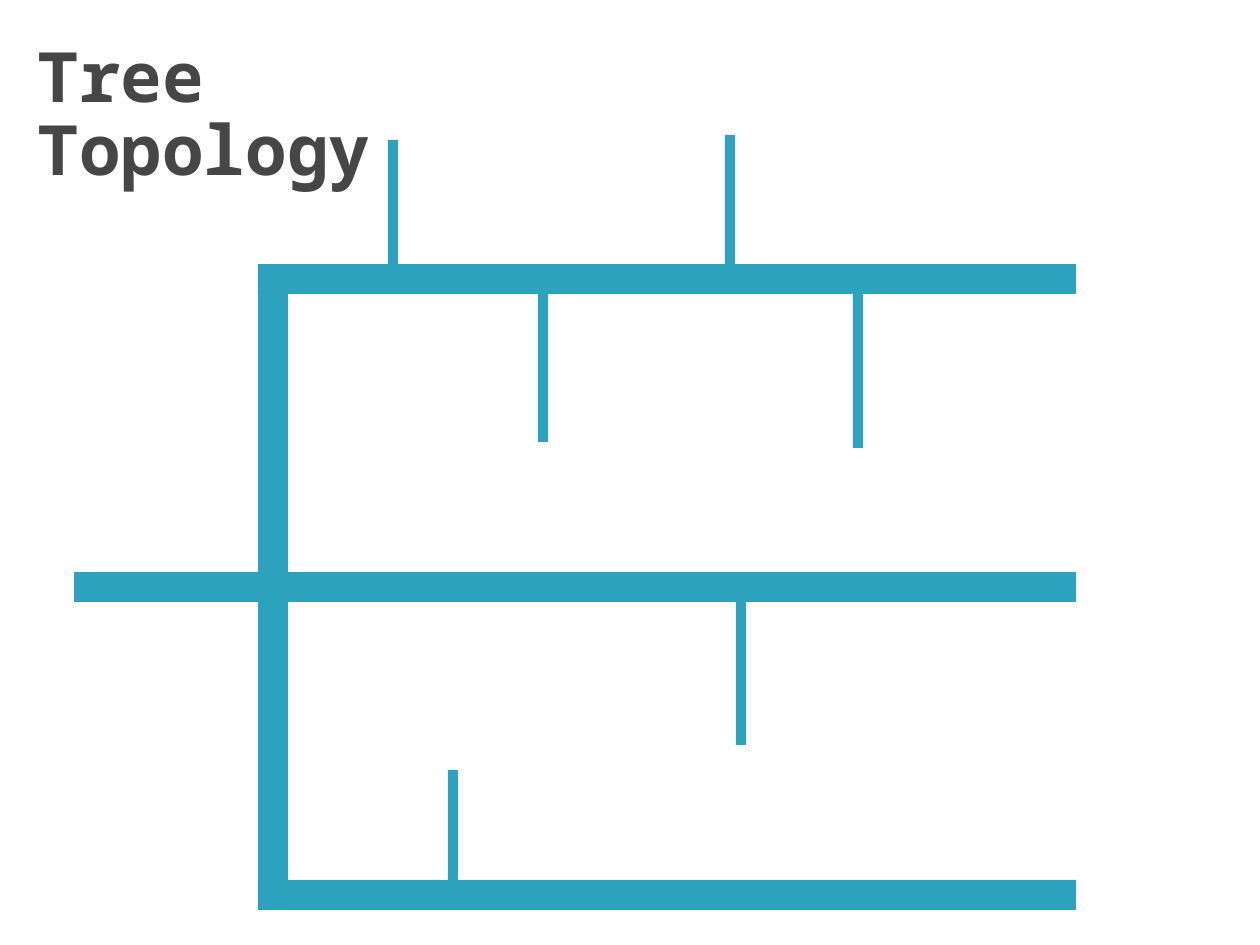
from pptx import Presentation
from pptx import util as u
from pptx.dml.color import RGBColor
from pptx.enum import shapes, text

PX = u.Inches(1) // 126
COLORS = {"bar": "2DA2BF", "title": "464646"}
BUS = 30
DROP = 10

presentation = Presentation()
presentation.slide_width = u.Inches(10)
presentation.slide_height = u.Inches(7.5)
slide = presentation.slides.add_slide(presentation.slide_layouts[5])


def add_bar(left, top, width, height):
    shape = slide.shapes.add_shape(
        shapes.MSO_SHAPE.RECTANGLE, *(value * PX for value in (left, top, width, height))
    )
    shape.shadow.inherit = False
    shape.fill.solid()
    shape.fill.fore_color.rgb = RGBColor.from_string(COLORS["bar"])
    shape.line.fill.background()


for left, top, width in [
    (74, 572, 422), (377, 572, 307), (674, 572, 402), (258, 264, 818), (258, 880, 818),
]:
    add_bar(left, top, width, BUS)

for top, height in [(264, 308), (583, 306)]:
    add_bar(258, top, BUS, height)

for left, top, height in [
    (538, 278, 164), (736, 581, 164), (853, 284, 164),
    (725, 135, 134), (448, 770, 140), (388, 140, 134),
]:
    add_bar(left, top, DROP, height)

title = slide.shapes.title
for name, value in {"left": 25, "top": 38, "width": 1134, "height": 158}.items():
    setattr(title, name, value * PX)
frame = title.text_frame
frame.text = "Tree\vTopology"
for name, value in {
    "word_wrap": True,
    "auto_size": text.MSO_AUTO_SIZE.NONE,
    "vertical_anchor": text.MSO_ANCHOR.MIDDLE,
}.items():
    setattr(frame, name, value)
paragraph = frame.paragraphs[0]
paragraph.alignment = text.PP_ALIGN.LEFT
paragraph.line_spacing = 0.88
for run in paragraph.runs:
    for name, value in {"name": "Noto Sans Mono", "size": u.Pt(39.6), "bold": True}.items():
        setattr(run.font, name, value)
    run.font.color.rgb = RGBColor.from_string(COLORS["title"])

presentation.save("out.pptx")
